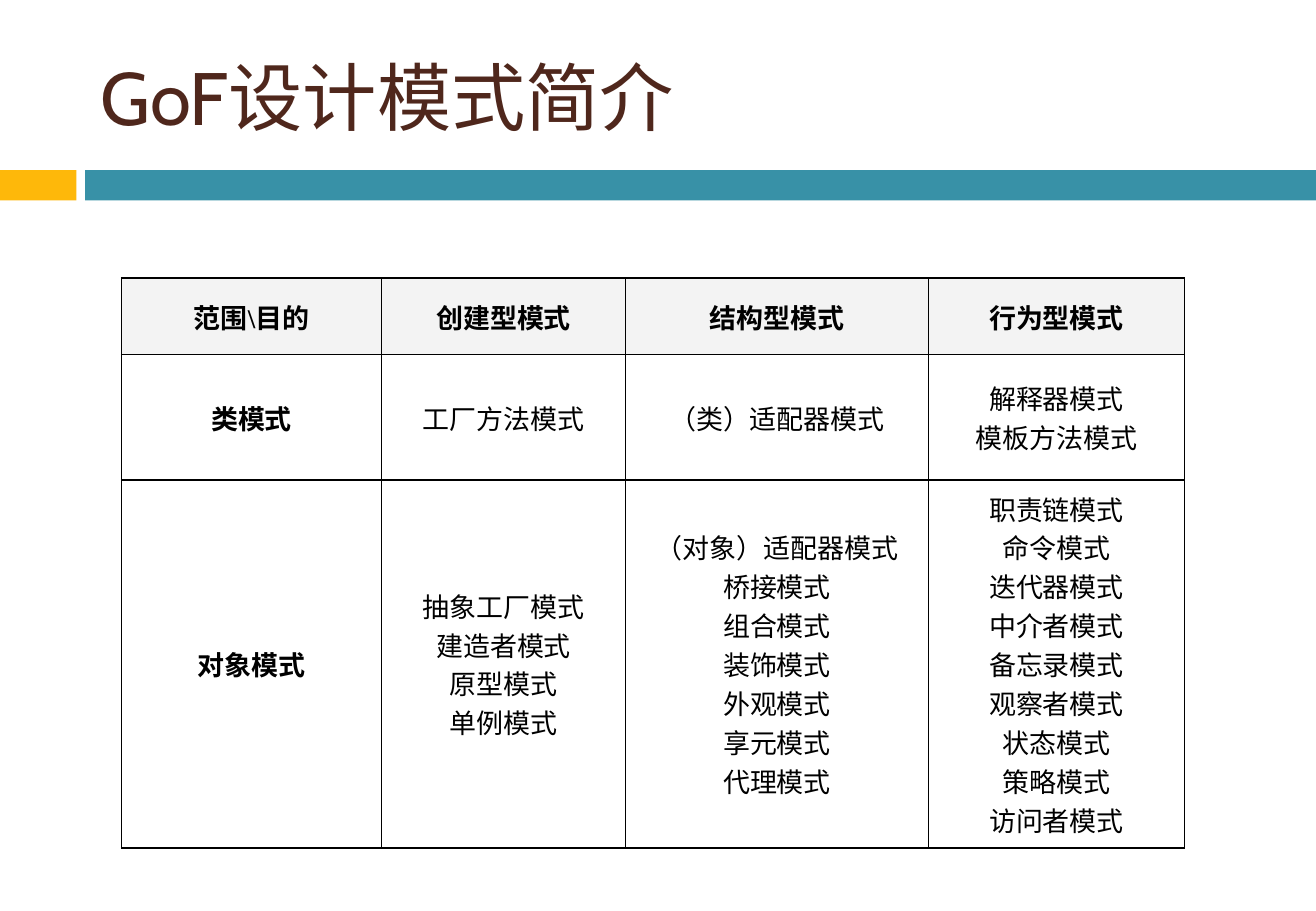
"""Build a slide with a table of the GoF design patterns by scope and purpose."""
import pptx
import pptx.dml.color
import pptx.enum.shapes
import pptx.enum.text
import pptx.oxml
import pptx.oxml.ns
import pptx.util

WIDTH, HEIGHT = pptx.util.Inches(10.83), pptx.util.Inches(7.5)
COLORS = {
    "accent": "FEB80A",
    "band": "3891A7",
    "title": "4F271C",
    "text": "000000",
    "header": "F3F3F3",
}
MARGIN = pptx.util.Inches(1)
TABLE_TOP = pptx.util.Inches(2.29)
COLUMNS = [2.14, 2.01, 2.49, 2.11]
ROWS = [0.63, 1.03, 3.03]
PATTERNS = [
    [["范围\\目的"], ["创建型模式"], ["结构型模式"], ["行为型模式"]],
    [["类模式"], ["工厂方法模式"], ["（类）适配器模式"], ["解释器模式", "模板方法模式"]],
    [
        ["对象模式"],
        ["抽象工厂模式", "建造者模式", "原型模式", "单例模式"],
        ["（对象）适配器模式", "桥接模式", "组合模式", "装饰模式",
         "外观模式", "享元模式", "代理模式"],
        ["职责链模式", "命令模式", "迭代器模式", "中介者模式", "备忘录模式",
         "观察者模式", "状态模式", "策略模式", "访问者模式"],
    ],
]


def rgb(name):
    return pptx.dml.color.RGBColor.from_string(COLORS[name])


def set_font(p, name, size, color, bold=False):
    p.font.name = name
    p.font.size = pptx.util.Pt(size)
    p.font.bold = bold
    p.font.color.rgb = rgb(color)


def add_bar(slide, left, right, color):
    sp = slide.shapes.add_shape(
        pptx.enum.shapes.MSO_SHAPE.RECTANGLE,
        left, pptx.util.Inches(1.4), right - left, pptx.util.Inches(0.25))
    sp.shadow.inherit = False
    sp.fill.solid()
    sp.fill.fore_color.rgb = rgb(color)
    sp.line.fill.background()


def add_title(slide, text):
    sp = slide.shapes.add_textbox(
        pptx.util.Inches(0.73), pptx.util.Inches(0.25),
        pptx.util.Inches(9.66), pptx.util.Inches(1.08))
    tf = sp.text_frame
    tf.word_wrap = True
    tf.vertical_anchor = pptx.enum.text.MSO_ANCHOR.MIDDLE
    tf.text = text
    set_font(tf.paragraphs[0], "Cabin", 44, "title")


def set_borders(cell):
    tc_pr = cell._tc.get_or_add_tcPr()
    for side in "LRTB":
        tc_pr.append(pptx.oxml.parse_xml(
            f'<a:ln{side} {pptx.oxml.ns.nsdecls("a")} w="{pptx.util.Pt(1)}">'
            f'<a:solidFill><a:srgbClr val="{COLORS["text"]}"/></a:solidFill>'
            f'</a:ln{side}>'))


def fill_cell(cell, lines, is_header, bold):
    set_borders(cell)
    if is_header:
        cell.fill.solid()
        cell.fill.fore_color.rgb = rgb("header")
    else:
        cell.fill.background()
    cell.vertical_anchor = pptx.enum.text.MSO_ANCHOR.MIDDLE
    cell.text = "\n".join(lines)
    for p in cell.text_frame.paragraphs:
        p.alignment = pptx.enum.text.PP_ALIGN.CENTER
        set_font(p, "Times New Roman", 16, "text", bold)


def add_pattern_table(slide):
    table = slide.shapes.add_table(
        len(ROWS), len(COLUMNS), MARGIN, TABLE_TOP,
        pptx.util.Inches(sum(COLUMNS)), pptx.util.Inches(sum(ROWS))).table
    table.first_row = table.horz_banding = False
    for column, width in zip(table.columns, COLUMNS):
        column.width = pptx.util.Inches(width)
    for row, height in zip(table.rows, ROWS):
        row.height = pptx.util.Inches(height)
    for i, row in enumerate(PATTERNS):
        for j, lines in enumerate(row):
            fill_cell(table.cell(i, j), lines, i == 0, i == 0 or j == 0)


def main():
    prs = pptx.Presentation()
    prs.slide_width, prs.slide_height = WIDTH, HEIGHT
    slide = prs.slides.add_slide(prs.slide_layouts[6])
    add_bar(slide, 0, pptx.util.Inches(0.63), "accent")
    add_bar(slide, pptx.util.Inches(0.7), WIDTH, "band")
    add_title(slide, "GoF设计模式简介")
    add_pattern_table(slide)
    prs.save("out.pptx")


if __name__ == "__main__":
    main()
